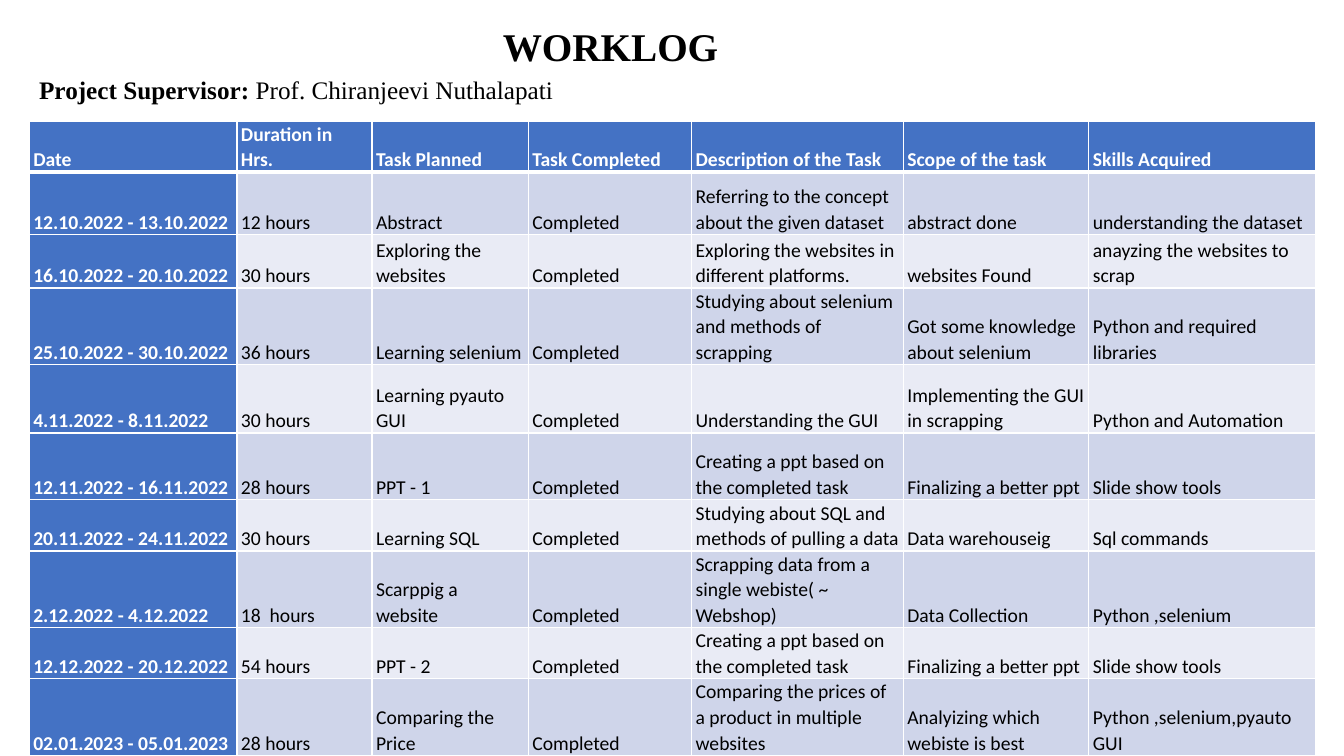
from dataclasses import dataclass

from lxml import etree
from pptx import Presentation
from pptx.dml.color import RGBColor
from pptx.enum.text import MSO_ANCHOR, MSO_AUTO_SIZE, PP_ALIGN
from pptx.oxml.ns import qn
from pptx.util import Inches, Pt

BOTTOM = MSO_ANCHOR.BOTTOM
GROW = MSO_AUTO_SIZE.SHAPE_TO_FIT_TEXT
LEFT, CENTER = PP_ALIGN.LEFT, PP_ALIGN.CENTER


@dataclass(frozen=True)
class Theme:
    heading_font: str = "Times New Roman"
    table_font: str = "Calibri"
    title_size: int = 28
    supervisor_size: int = 18
    table_size: int = 14
    line_spacing: float = 1.07
    ink: str = "000000"
    white: str = "FFFFFF"
    accent: str = "4472C4"
    bands: tuple[str, str] = ("CFD5EA", "E9EBF5")


@dataclass(frozen=True)
class Span:
    text: str
    font: str
    size: int
    color: str
    bold: bool


@dataclass(frozen=True)
class Heading:
    left: float
    top: float
    width: float
    height: float
    align: PP_ALIGN
    spans: tuple[Span, ...]


@dataclass(frozen=True)
class Entry:
    height: float
    date: str
    duration: str
    planned: str
    description: str
    scope: str
    skills: str
    completed: str = "Completed"

    def texts(self) -> tuple[str, ...]:
        return (self.date, self.duration, self.planned, self.completed,
                self.description, self.scope, self.skills)


THEME = Theme()

HEADINGS = (
    Heading(0.29, 0.67, 6.67, 0.41, LEFT, (
        Span("Project Supervisor:", THEME.heading_font, THEME.supervisor_size, THEME.ink, True),
        Span(" Prof. Chiranjeevi Nuthalapati", THEME.heading_font,
             THEME.supervisor_size, THEME.ink, False),
    )),
    Heading(2.72, 0.14, 6.67, 0.58, CENTER, (
        Span("WORKLOG", THEME.heading_font, THEME.title_size, THEME.ink, True),
    )),
)

COLUMN_WIDTHS = (2.06, 1.34, 1.55, 1.62, 2.1, 1.84, 2.25)

# The first entry is the header row
ENTRIES = (
    Entry(0.35, "Date", "Duration in Hrs.", "Task Planned", "Description of the Task",
          "Scope of the task", "Skills Acquired", "Task Completed"),
    Entry(0.62, "12.10.2022 - 13.10.2022", "12 hours", "Abstract",
          "Referring to the concept about the given dataset",
          "abstract done", "understanding the dataset"),
    Entry(0.53, "16.10.2022 - 20.10.2022", "30 hours", "Exploring the websites",
          "Exploring the websites in different platforms.",
          "websites Found", "anayzing the websites to scrap"),
    Entry(0.73, "25.10.2022 - 30.10.2022", "36 hours", "Learning selenium",
          "Studying about selenium and methods of scrapping",
          "Got some knowledge about selenium", "Python and required libraries"),
    Entry(0.68, "4.11.2022 - 8.11.2022", "30 hours", "Learning pyauto GUI",
          "Understanding the GUI",
          "Implementing the GUI in scrapping", "Python and Automation"),
    Entry(0.66, "12.11.2022 - 16.11.2022", "28 hours", "PPT - 1",
          "Creating a ppt based on the completed task",
          "Finalizing a better ppt", "Slide show tools"),
    Entry(0.51, "20.11.2022 - 24.11.2022", "30 hours", "Learning SQL",
          "Studying about SQL and methods of pulling a data",
          "Data warehouseig", "Sql commands"),
    Entry(0.54, "2.12.2022 - 4.12.2022", "18  hours", "Scarppig a website",
          "Scrapping data from a single webiste( ~ Webshop)",
          "Data Collection", "Python ,selenium"),
    Entry(0.43, "12.12.2022 - 20.12.2022", "54 hours", "PPT - 2",
          "Creating a ppt based on the completed task",
          "Finalizing a better ppt", "Slide show tools"),
    Entry(0.63, "02.01.2023 - 05.01.2023", "28 hours", "Comparing the Price",
          "Comparing the prices of a product in multiple websites",
          "Analyizing which webiste is best", "Python ,selenium,pyauto GUI"),
)


def add_span(para, span: Span) -> None:
    run = para.add_run()
    run.text = span.text
    run.font.name = span.font
    run.font.size = Pt(span.size)
    run.font.bold = span.bold
    run.font.color.rgb = RGBColor.from_string(span.color)


def add_heading(page, heading: Heading) -> None:
    box = page.shapes.add_textbox(Inches(heading.left), Inches(heading.top),
                                  Inches(heading.width), Inches(heading.height))
    frame = box.text_frame
    frame.word_wrap = True
    frame.auto_size = GROW
    para = frame.paragraphs[0]
    para.alignment = heading.align
    para.line_spacing = THEME.line_spacing
    para.space_after = Pt(8)
    for span in heading.spans:
        add_span(para, span)


def set_borders(cell, top: float, bottom: float) -> None:
    properties = cell._tc.get_or_add_tcPr()
    for side, width in (("L", 1), ("R", 1), ("T", top), ("B", bottom)):
        line = etree.SubElement(properties, qn(f"a:ln{side}"), w=str(Pt(width)))
        fill = etree.SubElement(line, qn("a:solidFill"))
        etree.SubElement(fill, qn("a:srgbClr"), val=THEME.white)


def fill_cell(cell, text: str, row: int, column: int) -> None:
    emphasised = row == 0 or column == 0
    cell.vertical_anchor = BOTTOM
    cell.margin_left = cell.margin_right = Inches(0.04)
    cell.margin_top = cell.margin_bottom = 0
    set_borders(cell, top=3 if row == 1 else 1, bottom=3 if row == 0 else 1)
    color = THEME.accent if emphasised else THEME.bands[(row - 1) % 2]
    cell.fill.solid()
    cell.fill.fore_color.rgb = RGBColor.from_string(color)
    para = cell.text_frame.paragraphs[0]
    para.line_spacing = THEME.line_spacing
    add_span(para, Span(text, THEME.table_font, THEME.table_size,
                        THEME.white if emphasised else THEME.ink, emphasised))


def add_worklog(page) -> None:
    frame = page.shapes.add_table(len(ENTRIES), len(COLUMN_WIDTHS), Inches(0.29), Inches(1.2),
                                  Inches(12.75), Inches(6.19))
    table = frame.table
    table.first_col = True
    for column, width in zip(table.columns, COLUMN_WIDTHS):
        column.width = Inches(width)
    for row, entry in enumerate(ENTRIES):
        table.rows[row].height = Inches(entry.height)
        for column, text in enumerate(entry.texts()):
            fill_cell(table.cell(row, column), text, row, column)


def main() -> None:
    deck = Presentation()
    deck.slide_width, deck.slide_height = Inches(13.33), Inches(7.5)
    page = deck.slides.add_slide(deck.slide_layouts[6])

    # Worklog table
    add_worklog(page)

    # Supervisor line and title
    for heading in HEADINGS:
        add_heading(page, heading)

    deck.save("out.pptx")


if __name__ == "__main__":
    main()
